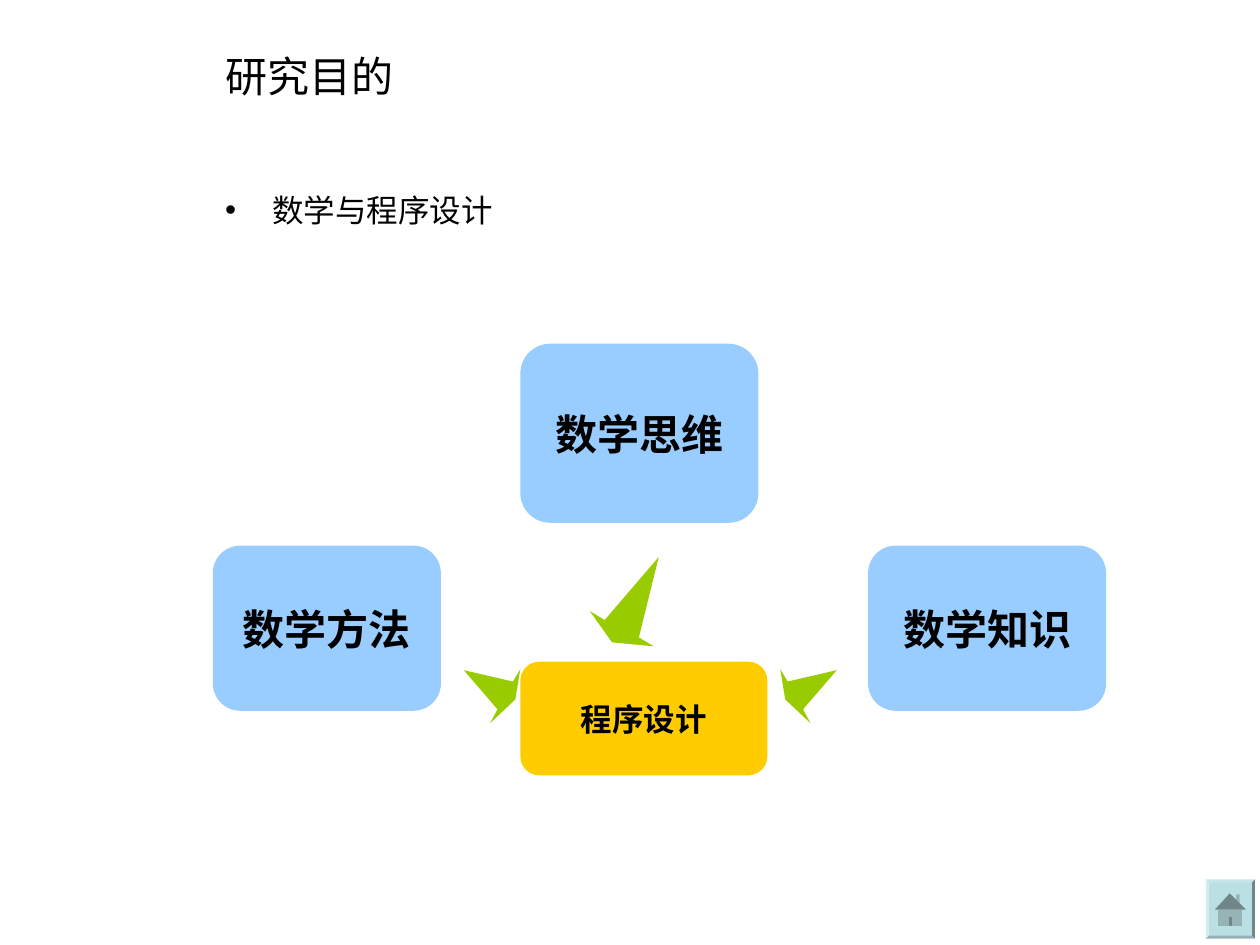
"""Build the research-purpose slide: three mathematical sources feeding program design."""
from lxml.etree import SubElement
from pptx import Presentation
from pptx.dml.color import RGBColor
from pptx.enum.shapes import MSO_SHAPE as Shape
from pptx.enum.text import MSO_ANCHOR as Anchor, PP_ALIGN as Align
from pptx.oxml.ns import qn
from pptx.util import Cm, Pt

BLACK = RGBColor(0x00, 0x00, 0x00)
BLUE = RGBColor(0x99, 0xCC, 0xFF)
YELLOW = RGBColor(0xFF, 0xCC, 0x00)
GREEN = RGBColor(0x99, 0xCC, 0x00)
BUTTON = RGBColor(0xBB, 0xE0, 0xE3)
WALL = RGBColor(0x96, 0xB3, 0xB6)
ROOF = RGBColor(0x70, 0x86, 0x88)

TITLE = ("研究目的", (4.29, 0.76, 19.84, 1.55), 24, Anchor.MIDDLE)
BODY = ("数学与程序设计", (4.29, 3.73, 19.84, 13.28), 18, Anchor.TOP)
BOXES = [
    ("数学方法", (4.29, 11, 4.6, 3.33), BLUE, 24, "Arial"),
    ("程序设计", (10.49, 13.34, 4.98, 2.29), YELLOW, 18, "Arial"),
    ("数学知识", (17.5, 11, 4.8, 3.33), BLUE, 24, "Arial"),
    ("数学思维", (10.49, 6.93, 4.8, 3.61), BLUE, 24, "Noto Sans CJK SC"),
]
LEFT_ARROW = [(9.35, 13.51), (10.03, 14.3), (9.88, 14.58),
              (10.39, 14.1), (10.49, 13.49), (10.34, 13.74)]
TOP_ARROW = [(13.28, 11.23), (12.88, 12.85), (13.18, 13.03),
             (12.34, 12.95), (11.89, 12.32), (12.19, 12.5)]
MIRROR_AXIS = 13.11
RIGHT_ARROW = [(2 * MIRROR_AXIS - x, y) for x, y in LEFT_ARROW]
HOME_BUTTON = (24.31, 17.73, 0.99, 1.19)
HOUSE = [
    ([(24.92, 18.14), (24.92, 18.03), (24.99, 18.03), (24.99, 18.21)], WALL),
    ([(24.79, 18.01), (25.12, 18.34), (24.49, 18.34)], ROOF),
    ([(24.56, 18.34), (25.04, 18.34), (25.04, 18.67), (24.56, 18.67)], WALL),
    ([(24.77, 18.49), (24.84, 18.49), (24.84, 18.67), (24.77, 18.67)], ROOF),
]


def apply(target, formats):
    for name, value in formats.items():
        setattr(target, name, value)


def paint(shape, color):
    shape.shadow.inherit = False
    shape.fill.solid()
    shape.fill.fore_color.rgb = color
    shape.line.fill.background()


def write(paragraph, text, size, font="Arial", bold=False):
    run = paragraph.add_run()
    run.text = text
    apply(run.font, {"name": font, "size": Pt(size), "bold": bold})
    run.font.color.rgb = BLACK


def add_text(slide, text, place, size, anchor):
    frame = slide.shapes.add_textbox(*map(Cm, place)).text_frame
    apply(frame, {"word_wrap": True, "vertical_anchor": anchor})
    write(frame.paragraphs[0], text, size)
    return frame.paragraphs[0]


def add_bullet(paragraph):
    properties = paragraph._p.get_or_add_pPr()
    properties.set("marL", str(Cm(0.95)))
    properties.set("indent", str(-Cm(0.95)))
    SubElement(properties, qn("a:buFont"), typeface="Arial")
    SubElement(properties, qn("a:buChar"), char="•")


def add_box(slide, text, place, color, size, font):
    box = slide.shapes.add_shape(Shape.ROUNDED_RECTANGLE, *map(Cm, place))
    paint(box, color)
    margins = {f"margin_{side}": 0 for side in ("left", "top", "right", "bottom")}
    apply(box.text_frame, margins | {"word_wrap": True, "vertical_anchor": Anchor.MIDDLE})
    paragraph = box.text_frame.paragraphs[0]
    paragraph.alignment = Align.CENTER
    write(paragraph, text, size, font, True)


def add_polygon(slide, points, color):
    corners = [(Cm(x), Cm(y)) for x, y in points]
    builder = slide.shapes.build_freeform(*corners[0])
    builder.add_line_segments(corners[1:], close=True)
    paint(builder.convert_to_shape(), color)


def main():
    presentation = Presentation()
    apply(presentation, {"slide_width": Cm(25.4), "slide_height": Cm(19.05)})
    slide = presentation.slides.add_slide(presentation.slide_layouts[6])
    add_text(slide, *TITLE)
    add_bullet(add_text(slide, *BODY))
    for box in BOXES:
        add_box(slide, *box)
    for arrow in (LEFT_ARROW, RIGHT_ARROW, TOP_ARROW):
        add_polygon(slide, arrow, GREEN)
    button = slide.shapes.add_shape(Shape.BEVEL, *map(Cm, HOME_BUTTON))
    button.adjustments[0] = 0.06
    paint(button, BUTTON)
    for points, color in HOUSE:
        add_polygon(slide, points, color)
    presentation.save("out.pptx")


if __name__ == "__main__":
    main()
